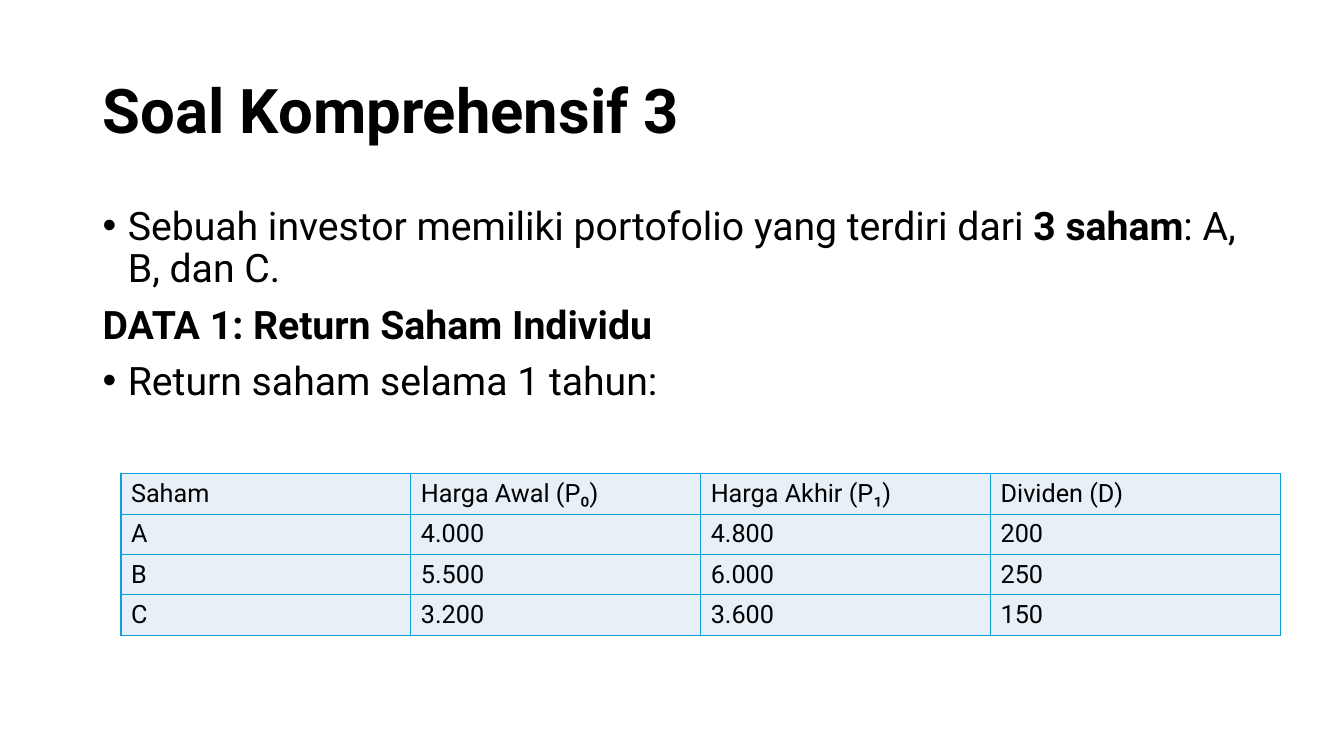
from lxml import etree
from pptx import Presentation
from pptx.dml.color import RGBColor
from pptx.enum.text import MSO_ANCHOR
from pptx.oxml.ns import qn
from pptx.util import Inches, Pt

MIDDLE, TOP = MSO_ANCHOR.MIDDLE, MSO_ANCHOR.TOP
BLACK, BORDER, CELL_FILL = "000000", "0F9ED5", "E7F0F7"


def color(hex_value):
    return RGBColor.from_string(hex_value)


def add_text(paragraph, text, size, bold=False):
    run = paragraph.add_run()
    run.text = text
    font_format = {"name": "Roboto", "size": Pt(size), "bold": bold}
    for attribute, value in font_format.items():
        setattr(run.font, attribute, value)
    run.font.color.rgb = color(BLACK)


prs = Presentation()
prs.slide_width, prs.slide_height = Inches(13.33), Inches(7.5)
slide = prs.slides.add_slide(prs.slide_layouts[6])

# Title and body: top, height, anchor, size, space before, paragraphs.
# Each paragraph is (bulleted, [(text, bold), ...]).
text_blocks = [
    (0.4, 1.45, MIDDLE, 44, 0, [(False, [("Soal Komprehensif 3", True)])]),
    (2, 2.18, TOP, 28, 10, [
        (True, [("Sebuah investor memiliki portofolio yang terdiri dari ", False),
                ("3 saham", True), (": A, B, dan C.", False)]),
        (False, [("DATA 1: Return Saham Individu", True)]),
        (True, [("Return saham selama 1 tahun:", False)]),
    ]),
]
for top, height, anchor, size, space_before, paragraphs in text_blocks:
    box = slide.shapes.add_textbox(Inches(0.92), Inches(top), Inches(11.5), Inches(height))
    frame = box.text_frame
    frame.word_wrap = True
    frame.vertical_anchor = anchor
    for index, (bulleted, runs) in enumerate(paragraphs):
        paragraph = frame.add_paragraph() if index else frame.paragraphs[0]
        paragraph.line_spacing = 0.9
        paragraph.space_before = Pt(space_before)
        if bulleted:
            properties = paragraph._p.get_or_add_pPr()
            properties.set("marL", str(Inches(0.25)))
            properties.set("indent", str(-Inches(0.25)))
            etree.SubElement(properties, qn("a:buFont"), typeface="Arial")
            etree.SubElement(properties, qn("a:buChar"), char="•")
        for text, bold in runs:
            add_text(paragraph, text, size, bold)

# Stock prices and dividends
stock_rows = [
    ("Saham", "Harga Awal (P₀)", "Harga Akhir (P₁)", "Dividen (D)"),
    ("A", "4.000", "4.800", "200"),
    ("B", "5.500", "6.000", "250"),
    ("C", "3.200", "3.600", "150"),
]
row_height = 0.39
stock_table = slide.shapes.add_table(
    len(stock_rows), len(stock_rows[0]), Inches(1.2), Inches(4.7),
    Inches(11.5), Inches(row_height * len(stock_rows))).table
stock_table.first_row = stock_table.horz_banding = False

for row_index, values in enumerate(stock_rows):
    for column_index, value in enumerate(values):
        cell = stock_table.cell(row_index, column_index)
        cell.vertical_anchor = MIDDLE
        add_text(cell.text_frame.paragraphs[0], value, 18)
        cell_properties = cell._tc.get_or_add_tcPr()
        for side in ("a:lnL", "a:lnR", "a:lnT", "a:lnB"):
            line = etree.SubElement(cell_properties, qn(side), w=str(Pt(1)))
            line_fill = etree.SubElement(line, qn("a:solidFill"))
            etree.SubElement(line_fill, qn("a:srgbClr"), val=BORDER)
        cell.fill.solid()
        cell.fill.fore_color.rgb = color(CELL_FILL)

prs.save("out.pptx")
